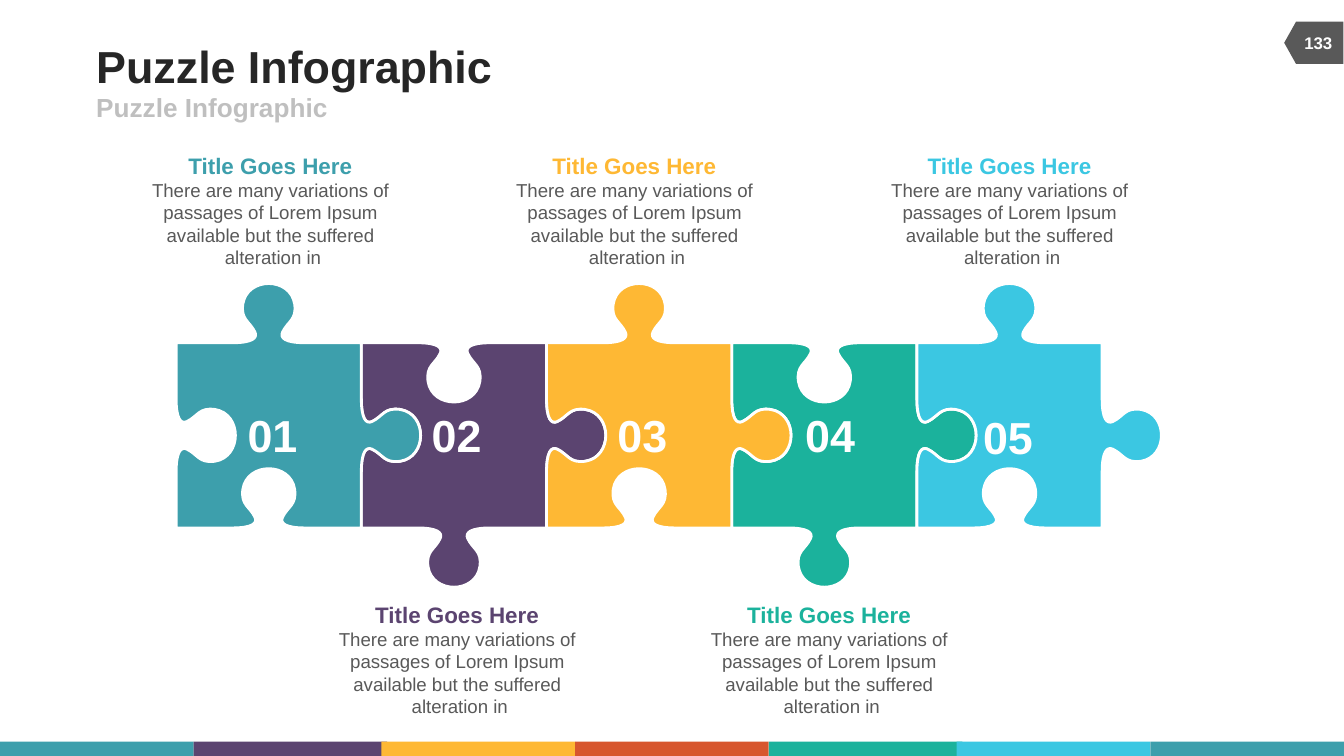
from lxml import etree
from pptx import Presentation
from pptx.dml.color import RGBColor as RGB
from pptx.enum.shapes import MSO_SHAPE as SHAPE
from pptx.enum.text import MSO_ANCHOR as ANCHOR, PP_ALIGN as ALIGN
from pptx.oxml.ns import qn
from pptx.util import Cm, Pt

THEME = dict(
    font="Arial",
    teal="3D9FAC", purple="5B4470", amber="FEB834", rust="D7562E",
    green="1BB29C", sky="3BC7E2",
    white="FFFFFF", dark="262626", gray="595959", pale="BFBFBF",
    title=24, subtitle=14, number=24, heading=12, body=10, page=9,
)
TITLE = "Puzzle Infographic"
PAGE = "133"
HEADING = "Title Goes Here"
BODY = ("There are many variations of passages of Lorem Ipsum "
        "available but the suffered\v alteration in")

# number, colour, number box (left, top), caption left
PIECES = [
    ("01", "teal", (4.67, 7.7), 2.62),
    ("02", "purple", (8.15, 7.7), 6.15),
    ("03", "amber", (11.66, 7.7), 9.5),
    ("04", "green", (15.21, 7.7), 13.18),
    ("05", "sky", (18.57, 7.75), 16.59),
]
STACKING = [3, 4, 1, 0, 2]  # back to front, as indexes into PIECES

STRIPES = [(0, "teal"), (3.66, "purple"), (7.21, "amber"), (10.87, "rust"),
           (14.53, "green"), (18.08, "sky"), (21.74, "teal")]

SIDE = 3.5
ROW_LEFT, ROW_TOP = 3.33, 6.48
CAPTION_TOPS = {1: 2.74, -1: 11.23}  # keyed by the way the piece points
# Bezier points of half a knob: distance along the edge, height above it
HALF_KNOB = [(0, 0), (0, 0), (1.06, 0), (1.06, 0), (1.44, 0), (1.54, 0.09),
             (1.49, 0.2), (1.39, 0.41), (1.22, 0.43), (1.26, 0.73), (1.34, 1.25)]
KNOB = HALF_KNOB + [(SIDE - t, h) for t, h in reversed(HALF_KNOB)]


def color(name):
    return RGB.from_string(THEME[name])


def add_text(slide, box, paras, align=ALIGN.LEFT, anchor=ANCHOR.TOP,
             inset=(0, 0), wrap=False):
    """Each paragraph is (text, size name, colour name, bold)."""
    tf = slide.shapes.add_textbox(*map(Cm, box)).text_frame
    tf.word_wrap = wrap
    tf.vertical_anchor = anchor
    tf.margin_left = tf.margin_right = Cm(inset[0])
    tf.margin_top = tf.margin_bottom = Cm(inset[1])
    for i, (text, size, ink, bold) in enumerate(paras):
        p = tf.add_paragraph() if i else tf.paragraphs[0]
        p.text = text
        p.alignment = align
        for r in p.runs:
            r.font.name = THEME["font"]
            r.font.size = Pt(THEME[size])
            r.font.bold = bold
            r.font.color.rgb = color(ink)


def paint(sp, fill, line=None):
    sp.shadow.inherit = False
    sp.fill.solid()
    sp.fill.fore_color.rgb = color(fill)
    if line:
        sp.line.color.rgb = color(line)
        sp.line.width = Pt(1.5)
    else:
        sp.line.fill.background()


def add_shape(slide, kind, box, fill):
    sp = slide.shapes.add_shape(kind, *map(Cm, box))
    paint(sp, fill)
    return sp


def curve(sp):
    """Turn every three line segments of a freeform into one Bezier curve."""
    lines = list(sp._element.iter(qn("a:lnTo")))
    for i in range(0, len(lines), 3):
        bezier = etree.Element(qn("a:cubicBezTo"))
        lines[i].addprevious(bezier)
        for line in lines[i:i + 3]:
            bezier.append(line[0])
            line.getparent().remove(line)


def add_piece(slide, left, top, way, fill):
    """way is 1 when the vertical knob points up, -1 when it points down."""
    edges = [
        [(t, -way * h) for t, h in KNOB],
        [(SIDE + h, t) for t, h in KNOB],
        [(t, SIDE - way * h) for t, h in reversed(KNOB)],
        [(h, t) for t, h in reversed(KNOB)],
    ]
    points = [(Cm(left + x), Cm(top + y)) for edge in edges for x, y in edge[1:]]
    builder = slide.shapes.build_freeform(Cm(left), Cm(top + edges[0][0][1]))
    builder.add_line_segments(points, close=True)
    sp = builder.convert_to_shape()
    curve(sp)
    paint(sp, fill, "white")


def main():
    prs = Presentation()
    prs.slide_width, prs.slide_height = Cm(25.4), Cm(14.29)
    s = prs.slides.add_slide(prs.slide_layouts[6])

    for left, fill in STRIPES:
        add_shape(s, SHAPE.RECTANGLE, (left, 14.02, 3.66, 0.27), fill)
    badge = add_shape(s, SHAPE.FLOWCHART_OFFPAGE_CONNECTOR,
                      (24.43, 0.25, 0.8, 1.12), "gray")
    badge.rotation = 90

    add_text(s, (1.82, 0.74, 15.67, 1), [(TITLE, "title", "dark", True)],
             anchor=ANCHOR.MIDDLE)
    add_text(s, (1.82, 1.73, 11.43, 0.57), [(TITLE, "subtitle", "pale", True)],
             anchor=ANCHOR.MIDDLE)
    add_text(s, (24.38, 0.43, 1.07, 0.76), [(PAGE, "page", "white", True)],
             ALIGN.CENTER, ANCHOR.MIDDLE, inset=(0.1, 0.13), wrap=True)

    ways = [1 if i % 2 == 0 else -1 for i in range(len(PIECES))]
    for i in STACKING:
        add_piece(s, ROW_LEFT + i * SIDE, ROW_TOP, ways[i], PIECES[i][1])

    for (number, ink, corner, left), way in zip(PIECES, ways):
        add_text(s, (*corner, 0.96, 1.02), [(number, "number", "white", True)],
                 ALIGN.CENTER, ANCHOR.BOTTOM)
        add_text(s, (left, CAPTION_TOPS[way], 4.98, 2.49),
                 [(HEADING, "heading", ink, True), (BODY, "body", "gray", False)],
                 ALIGN.CENTER, inset=(0.25, 0.13), wrap=True)

    prs.save("out.pptx")


if __name__ == "__main__":
    main()
